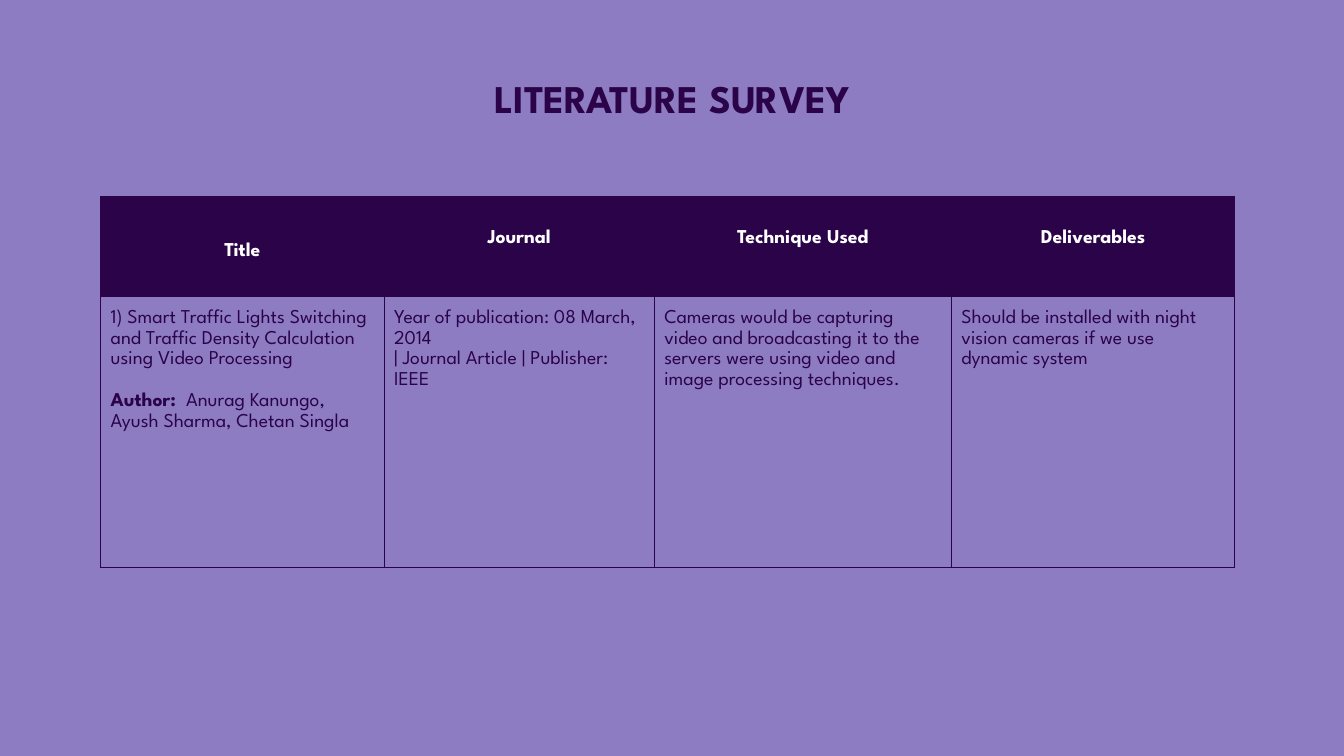
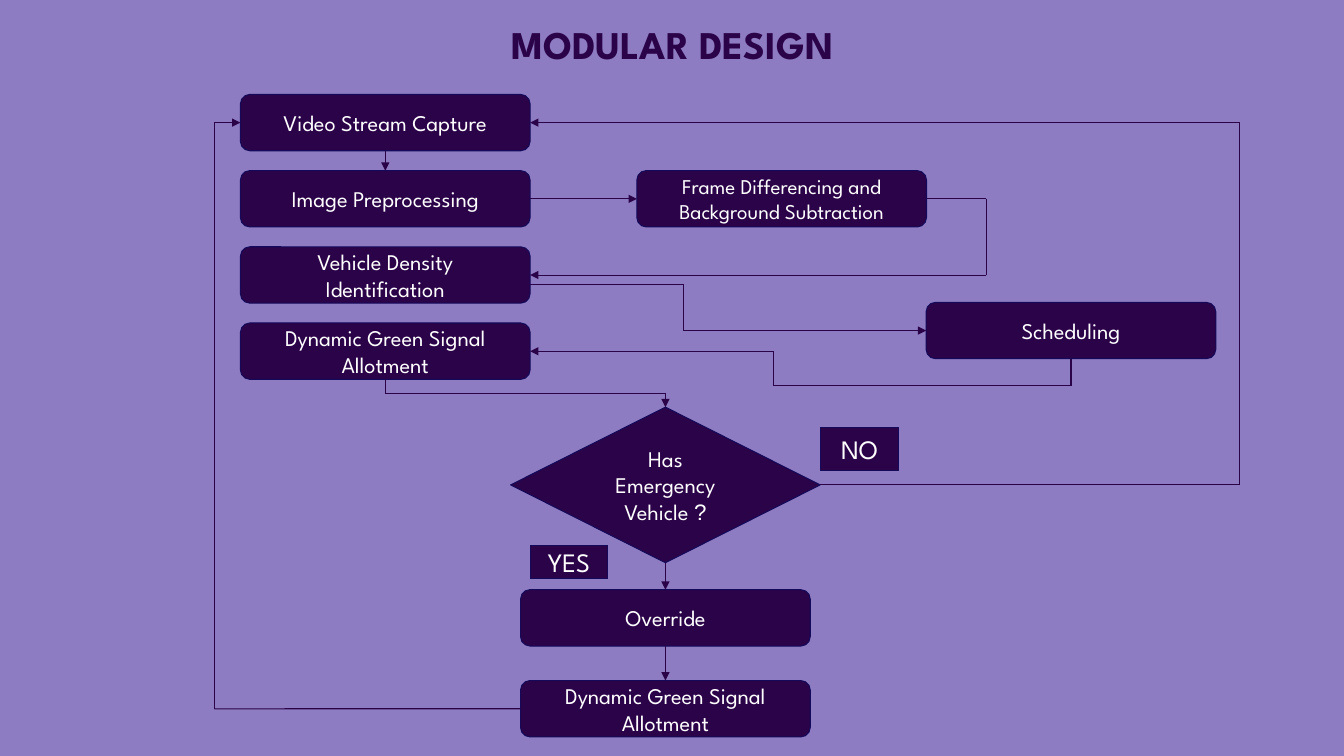
from lxml import etree
from pptx import Presentation
from pptx.dml.color import RGBColor
from pptx.enum.shapes import MSO_CONNECTOR, MSO_SHAPE
from pptx.enum.text import MSO_ANCHOR, PP_ALIGN
from pptx.oxml.ns import qn
from pptx.util import Cm, Pt

LAVENDER = RGBColor(0x8E, 0x7C, 0xC3)
PLUM = RGBColor(0x2B, 0x03, 0x48)
NAVY = RGBColor(0x14, 0x0A, 0x59)
WHITE = RGBColor(0xFF, 0xFF, 0xFF)
FONT = "League Spartan"
SYMBOL_FONT = "Arial"
CENTER, LEFT = PP_ALIGN.CENTER, PP_ALIGN.LEFT
TOP, MIDDLE = MSO_ANCHOR.TOP, MSO_ANCHOR.MIDDLE
STRAIGHT = MSO_CONNECTOR.STRAIGHT
ROUNDED, DIAMOND, RECTANGLE = MSO_SHAPE.ROUNDED_RECTANGLE, MSO_SHAPE.DIAMOND, MSO_SHAPE.RECTANGLE

SURVEY_COLUMNS = [
    ("Title", 7.14, 0.95, 1.5),
    ("Journal", 6.81, 0.78, 1.15),
    ("Technique Used", 7.49, 0.78, 1.15),
    ("Deliverables", 7.14, 0.78, 1.15),
]
SURVEY_ENTRY = [
    [
        [("1) Smart Traffic Lights Switching and Traffic Density Calculation using Video Processing", False)],
        [("Author: ", True), (" Anurag Kanungo, Ayush Sharma, Chetan Singla", False)],
    ],
    [
        [("Year of publication: 08 March, 2014", False)],
        [("| Journal Article | Publisher: IEEE", False)],
    ],
    [[("Cameras would be capturing video and broadcasting it to the servers were using video "
       "and image processing techniques.", False)]],
    [[("Should be installed with night vision cameras if we use dynamic system", False)]],
]
AUTHOR_GAP = Pt(15)
SURVEY_ROW_HEIGHTS = [2.54, 6.81]

STEP_SIZE = (7.3, 1.42)
LABEL_WIDTH = 1.96
LEFT_COLUMN, FIRST_ROW, ROW_PITCH = 6.06, 2.38, 1.92
LOWER_COLUMN = 13.12


def row_top(index):
    return round(FIRST_ROW + index * ROW_PITCH, 2)


STEPS = {
    "capture": ("Video Stream Capture", LEFT_COLUMN, row_top(0), 16),
    "preprocessing": ("Image Preprocessing", LEFT_COLUMN, row_top(1), 16),
    "density": ("Vehicle Density Identification", LEFT_COLUMN, row_top(2), 16),
    "allotment": ("Dynamic Green Signal Allotment", LEFT_COLUMN, row_top(3), 16),
    "differencing": ("Frame Differencing and Background Subtraction", 16.05, row_top(1), 15),
    "scheduling": ("Scheduling", 23.34, 7.62, 16),
    "override": ("Override", LOWER_COLUMN, 14.86, 16),
    "override allotment": ("Dynamic Green Signal Allotment", LOWER_COLUMN, 17.15, 16),
}
DECISION = ("Has Emergency Vehicle ?", 12.87, 10.26, 7.8, 3.92)
LABELS = [("NO", 20.68, 10.77, 1.09), ("YES", 13.36, 13.74, 0.84)]

ROUTES = [
    ("capture", "bottom", 0, [], "preprocessing", "top"),
    ("preprocessing", "right", 0, [], "differencing", "left"),
    ("differencing", "right", 0, [24.85], "density", "right"),
    ("density", "right", 0.23, [17.22], "scheduling", "left"),
    ("scheduling", "bottom", 0, [9.72, 19.5], "allotment", "right"),
    ("allotment", "bottom", 0, [9.91], "decision", "top"),
    ("decision", "right", 0, [31.24], "capture", "right"),
    ("decision", "bottom", 0, [], "override", "top"),
    ("override", "bottom", 0, [], "override allotment", "top"),
    ("override allotment", "left", 0, [5.4], "capture", "left"),
]
SIDES = {"top": (0, 0.5, 0), "left": (1, 0, 0.5), "bottom": (2, 0.5, 1), "right": (3, 1, 0.5)}


def style_run(run, size, color, bold=False, font=FONT):
    run.font.name = font
    run.font.size = Pt(size)
    run.font.bold = bold
    run.font.color.rgb = color


def add_titled_slide(presentation, title, top):
    slide = presentation.slides.add_slide(presentation.slide_layouts[6])
    slide.background.fill.solid()
    slide.background.fill.fore_color.rgb = LAVENDER
    text_frame = slide.shapes.add_textbox(Cm(10.08), Cm(top), Cm(13.72), Cm(1.6)).text_frame
    text_frame.word_wrap = True
    paragraph = text_frame.paragraphs[0]
    paragraph.text = title
    paragraph.alignment = CENTER
    paragraph.line_spacing = 0.9
    style_run(paragraph.runs[0], 28, PLUM, bold=True)
    return slide


def add_cell_borders(cell):
    properties = cell._tc.get_or_add_tcPr()
    for index, edge in enumerate(("a:lnL", "a:lnR", "a:lnT", "a:lnB")):
        line = etree.Element(qn(edge), w=str(Pt(0.75)))
        fill = etree.SubElement(line, qn("a:solidFill"))
        etree.SubElement(fill, qn("a:srgbClr"), val=str(PLUM))
        properties.insert(index, line)


def fill_cell(cell, paragraphs, color, alignment, spacing, top_margin=0.25):
    cell.margin_left = cell.margin_right = cell.margin_bottom = Cm(0.25)
    cell.margin_top = Cm(top_margin)
    cell.vertical_anchor = TOP
    text_frame = cell.text_frame
    for index, runs in enumerate(paragraphs):
        paragraph = text_frame.add_paragraph() if index else text_frame.paragraphs[0]
        paragraph.alignment = alignment
        paragraph.line_spacing = spacing
        for text, bold in runs:
            run = paragraph.add_run()
            run.text = text
            style_run(run, 14, color, bold)
    add_cell_borders(cell)


def add_survey_table(slide):
    width = sum(column[1] for column in SURVEY_COLUMNS)
    frame = slide.shapes.add_table(2, len(SURVEY_COLUMNS), Cm(2.54), Cm(4.94),
                                   Cm(width), Cm(sum(SURVEY_ROW_HEIGHTS)))
    table = frame.table
    for row, height in zip(table.rows, SURVEY_ROW_HEIGHTS):
        row.height = Cm(height)
    for index, (heading, column_width, top_margin, spacing) in enumerate(SURVEY_COLUMNS):
        table.columns[index].width = Cm(column_width)
        header, body = table.cell(0, index), table.cell(1, index)
        header.fill.solid()
        header.fill.fore_color.rgb = PLUM
        body.fill.background()
        fill_cell(header, [[(heading, True)]], WHITE, CENTER, spacing, top_margin)
        fill_cell(body, SURVEY_ENTRY[index], PLUM, LEFT, 1.15)
    table.cell(1, 0).text_frame.paragraphs[1].space_before = AUTHOR_GAP


def add_block(slide, kind, text, left, top, width, height, size):
    shape = slide.shapes.add_shape(kind, Cm(left), Cm(top), Cm(width), Cm(height))
    shape.shadow.inherit = False
    shape.fill.solid()
    shape.fill.fore_color.rgb = PLUM
    shape.line.color.rgb = NAVY
    shape.line.width = Pt(0.75)
    text_frame = shape.text_frame
    text_frame.word_wrap = True
    text_frame.vertical_anchor = MIDDLE
    text_frame.margin_left = text_frame.margin_right = Cm(0.33)
    text_frame.margin_top = text_frame.margin_bottom = Cm(0.33)
    paragraph = text_frame.paragraphs[0]
    paragraph.alignment = CENTER
    words, mark, _ = text.partition("?")
    for part, font in ((words, FONT), (mark, SYMBOL_FONT)):
        if part:
            run = paragraph.add_run()
            run.text = part
            style_run(run, size, WHITE, font=font)
    return shape


def add_segment(slide, start, end):
    connector = slide.shapes.add_connector(STRAIGHT, *(Cm(value) for value in (*start, *end)))
    connector.line.color.rgb = PLUM
    connector.line.width = Pt(0.75)
    etree.SubElement(connector._element.spPr, qn("a:effectLst"))
    return connector


def side_point(box, side, shift=0):
    left, top, width, height = box
    _, across, down = SIDES[side]
    return round(left + width * across, 2), round(top + height * down + shift, 2)


def route_points(start, start_side, bends, end):
    points = [start]
    horizontal = start_side in ("left", "right")
    for bend in bends + [None]:
        x, y = points[-1]
        if horizontal:
            points.append((end[0] if bend is None else bend, y))
        else:
            points.append((x, end[1] if bend is None else bend))
        horizontal = not horizontal
    if points[-1] != end:
        points.append(end)
    return points


def add_route(slide, shapes, boxes, route):
    source, source_side, shift, bends, target, target_side = route
    start = side_point(boxes[source], source_side, shift)
    end = side_point(boxes[target], target_side)
    points = route_points(start, source_side, bends, end)
    segments = [add_segment(slide, *pair) for pair in zip(points, points[1:])]
    if not shift:
        segments[0].begin_connect(shapes[source], SIDES[source_side][0])
    segments[-1].end_connect(shapes[target], SIDES[target_side][0])
    etree.SubElement(segments[-1].line._get_or_add_ln(), qn("a:tailEnd"), type="triangle")


def add_flowchart(slide):
    shapes, boxes = {}, {}
    for name, (text, left, top, size) in STEPS.items():
        boxes[name] = (left, top, *STEP_SIZE)
        shapes[name] = add_block(slide, ROUNDED, text, *boxes[name], size)
    text, *decision_box = DECISION
    boxes["decision"] = decision_box
    shapes["decision"] = add_block(slide, DIAMOND, text, *decision_box, 16)
    for route in ROUTES:
        add_route(slide, shapes, boxes, route)
    for text, left, top, height in LABELS:
        add_block(slide, RECTANGLE, text, left, top, LABEL_WIDTH, height, 19)


def main():
    presentation = Presentation()
    presentation.slide_width = Cm(33.87)
    presentation.slide_height = Cm(19.05)
    add_survey_table(add_titled_slide(presentation, "LITERATURE SURVEY", 1.88))
    add_flowchart(add_titled_slide(presentation, "MODULAR DESIGN", 0.51))
    presentation.save("out.pptx")


if __name__ == "__main__":
    main()
